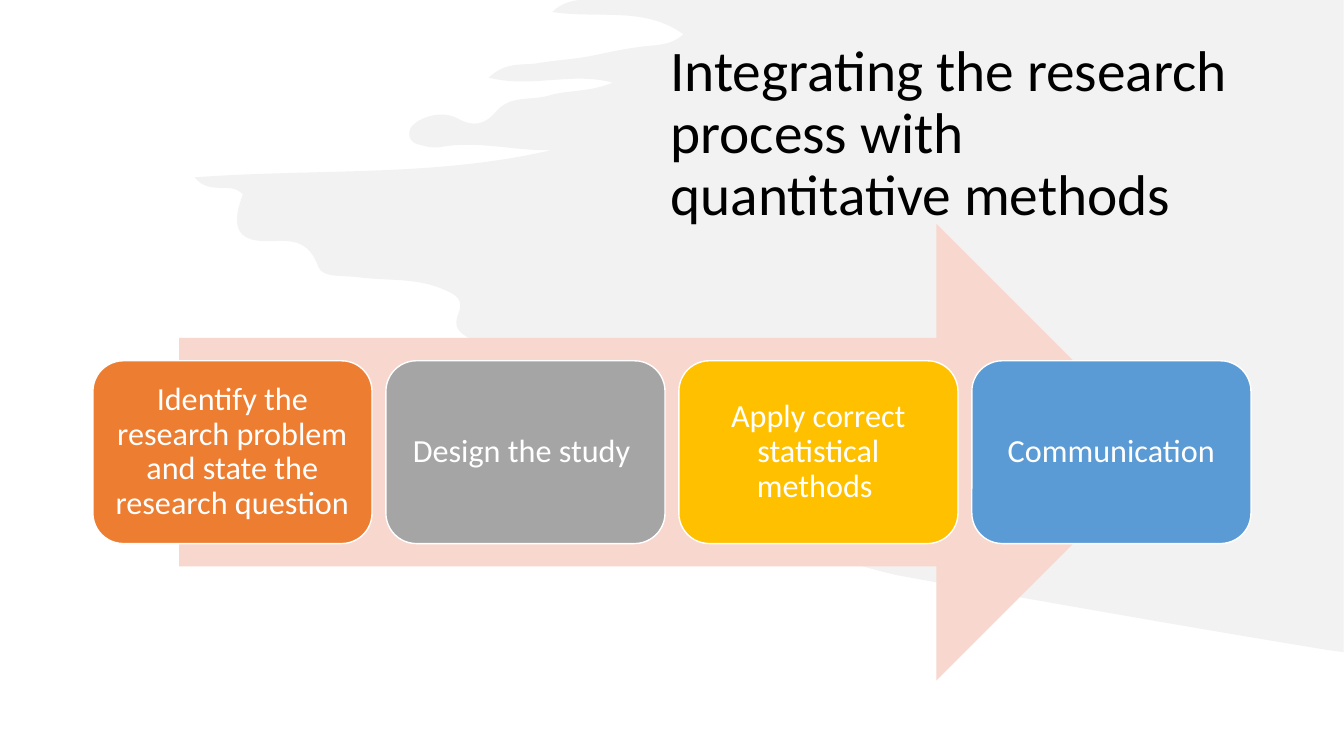
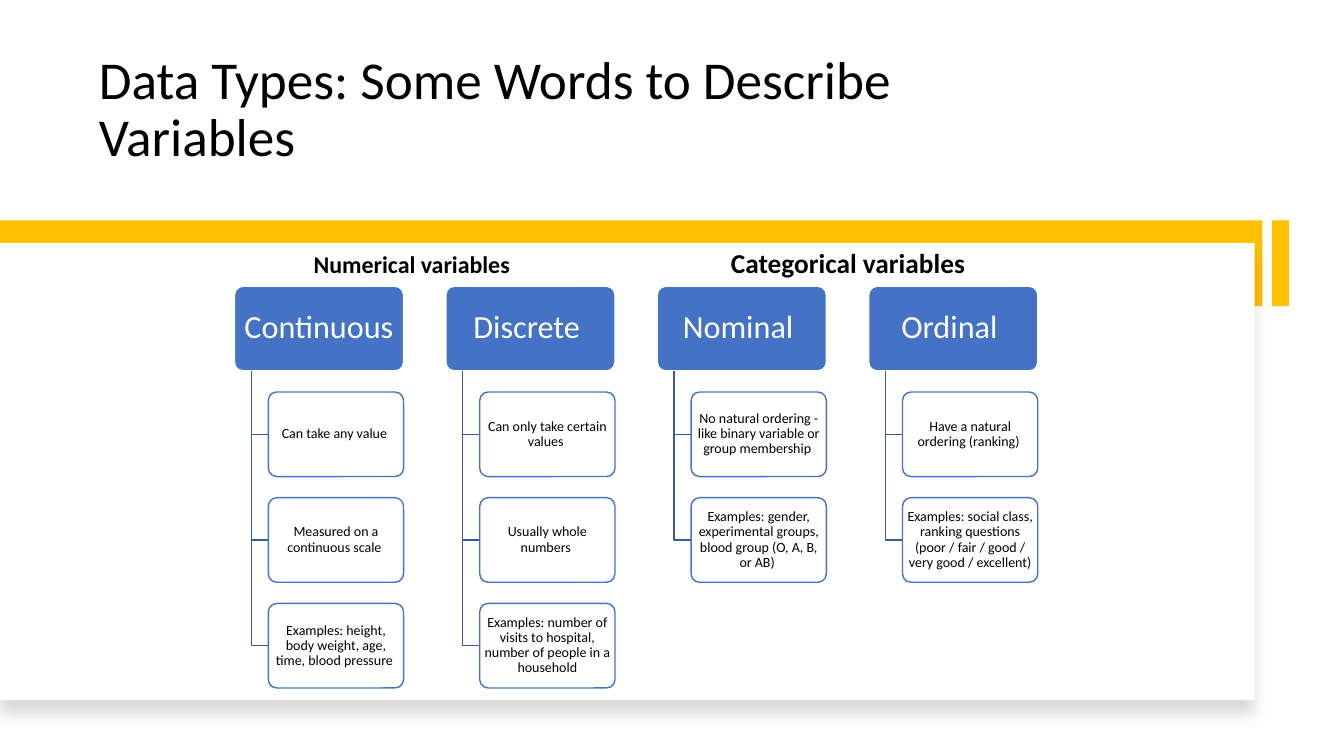
from dataclasses import dataclass

from lxml import etree
from pptx import Presentation
from pptx.dml.color import RGBColor
from pptx.enum import shapes, text
from pptx.oxml.ns import qn
from pptx.util import Pt


@dataclass(frozen=True)
class Theme:
    font: str = "Calibri"
    black: str = "000000"
    white: str = "FFFFFF"
    brush: str = "E7E6E6"
    arrow: str = "F8D7CE"
    orange: str = "ED7D31"
    grey: str = "A5A5A5"
    gold: str = "FFC000"
    sky: str = "5B9BD5"
    blue: str = "4472C4"
    branch: str = "365B9D"
    opening_title: float = 41
    title: float = 38
    label: float = 23
    numerical: float = 17.1
    categorical: float = 19.5
    detail: float = 10
    outline: float = 1


THEME = Theme()
PAGE_WIDTH, PAGE_HEIGHT = 960, 540

STEPS = [
    ("Identify the research problem and state the research question", THEME.orange),
    ("Design the study ", THEME.grey),
    ("Apply correct statistical methods ", THEME.gold),
    ("Communication", THEME.sky),
]

VARIABLES = [
    ("Continuous ", ["Can take any value ",
                     "Measured on a continuous scale ",
                     "Examples: height, body weight, age, time, blood pressure "]),
    ("Discrete ", ["Can only take certain values ",
                   "Usually whole numbers ",
                   "Examples: number of visits to hospital, number of people in a household"]),
    ("Nominal ", ["No natural ordering - like binary variable or group membership ",
                  "Examples: gender, experimental groups, blood group (O, A, B, or AB) "]),
    ("Ordinal ", ["Have a natural ordering (ranking) ",
                  "Examples: social class, ranking questions "
                  "(poor / fair / good / very good / excellent)"]),
]

# Brush outline in units of 0.72 pt: each curve holds two control points and an end point.
BRUSH_UNIT = 0.72
BRUSH_START = [(1333, 0), (575, 0)]
BRUSH_CURVES = [
    (567, 1, 557, 3, 548, 12), (595, 19, 639, 6, 678, 34),
    (664, 47, 648, 44, 632, 47), (616, 49, 600, 53, 584, 56),
    (567, 59, 549, 60, 532, 63), (518, 65, 502, 61, 485, 77),
    (527, 88, 566, 71, 608, 82), (584, 92, 563, 89, 544, 95),
    (527, 100, 506, 94, 492, 111), (481, 124, 469, 126, 455, 118),
    (442, 111, 428, 113, 415, 120), (411, 123, 406, 126, 406, 132),
    (406, 141, 412, 143, 418, 144), (424, 146, 431, 147, 437, 146),
    (474, 139, 510, 150, 547, 149), (431, 176, 314, 167, 193, 176),
    (209, 195, 229, 179, 241, 193), (230, 222, 234, 237, 258, 239),
    (280, 241, 304, 231, 316, 265), (320, 276, 341, 273, 355, 275),
    (384, 279, 414, 275, 442, 288), (453, 293, 460, 297, 455, 311),
    (449, 325, 456, 330, 466, 336), (473, 340, 483, 339, 489, 352),
    (428, 350, 369, 340, 309, 350), (375, 374, 447, 373, 512, 402),
    (510, 412, 495, 407, 494, 422), (528, 438, 569, 427, 605, 450),
    (584, 461, 565, 444, 545, 454), (552, 469, 840, 561, 892, 571),
    (978, 587, 1195, 625, 1318, 645),
]
BRUSH_END = (1333, 647)


def rgb(color):
    return RGBColor.from_string(color)


def apply(target, values):
    for name, value in values.items():
        setattr(target, name, value)


def place(shape, box):
    apply(shape, dict(zip(("left", "top", "width", "height"), map(Pt, box))))


def paint(shape, fill=None, line=None, opacity=None):
    """Set fill and line, either of which may be absent, and drop the shadow."""
    shape.shadow.inherit = False
    if fill:
        shape.fill.solid()
        shape.fill.fore_color.rgb = rgb(fill)
        if opacity:
            color = shape.element.spPr.find(qn("a:solidFill")).find(qn("a:srgbClr"))
            etree.SubElement(color, qn("a:alpha"), val=str(opacity * 1000))
    else:
        shape.fill.background()
    if line:
        shape.line.color.rgb = rgb(line)
        shape.line.width = Pt(THEME.outline)
    else:
        shape.line.fill.background()


def write(shape, words, size, color=THEME.black, bold=False, spacing=0.9,
          align=text.PP_ALIGN.LEFT, anchor=text.MSO_ANCHOR.TOP, insets=(7.2, 3.6)):
    frame = shape.text_frame
    across, down = map(Pt, insets)
    apply(frame, {
        "word_wrap": True, "auto_size": text.MSO_AUTO_SIZE.NONE,
        "vertical_anchor": anchor, "margin_left": across, "margin_right": across,
        "margin_top": down, "margin_bottom": down,
    })
    para = frame.paragraphs[0]
    apply(para, {"alignment": align, "line_spacing": spacing, "space_before": Pt(0)})
    span = para.add_run()
    span.text = words
    apply(span.font, {"name": THEME.font, "size": Pt(size), "bold": bold})
    span.font.color.rgb = rgb(color)
    return para


def add_block(page, kind, box, fill, line=None, opacity=None):
    block = page.shapes.add_shape(kind, *map(Pt, box))
    paint(block, fill, line, opacity)
    return block


def add_card(page, box, words, size, color, insets, fill, line, opacity=None, corner=None):
    card = add_block(page, shapes.MSO_SHAPE.ROUNDED_RECTANGLE, box, fill, line, opacity)
    if corner:
        card.adjustments[0] = corner
    write(card, words, size, color, insets=insets,
          align=text.PP_ALIGN.CENTER, anchor=text.MSO_ANCHOR.MIDDLE)


def add_outline(page, points, close):
    (x, y), *rest = [(Pt(x), Pt(y)) for x, y in points]
    builder = page.shapes.build_freeform(x, y)
    builder.add_line_segments(rest, close=close)
    return builder.convert_to_shape()


def fill_placeholder(holder, box, words, size, **style):
    """Place a placeholder in front of what is drawn so far and write its text."""
    holder.element.getparent().append(holder.element)
    place(holder, box)
    return write(holder, words, size, **style)


def add_brush(page):
    """Draw the outline through the end points, then bend its sides into curves."""
    corners = [*BRUSH_START, *(curve[4:] for curve in BRUSH_CURVES), BRUSH_END]
    brush = add_outline(page, [(x * BRUSH_UNIT, y * BRUSH_UNIT) for x, y in corners], True)
    sides = list(brush.element.iter(qn("a:lnTo")))
    for side, curve in zip(sides[len(BRUSH_START) - 1:], BRUSH_CURVES):
        bend = etree.Element(qn("a:cubicBezTo"))
        for x, y in zip(curve[::2], curve[1::2]):
            etree.SubElement(bend, qn("a:pt"), x=str(Pt(x * BRUSH_UNIT) - brush.left),
                             y=str(Pt(y * BRUSH_UNIT) - brush.top))
        side.getparent().replace(side, bend)
    paint(brush, THEME.brush, opacity=50)


def add_process(page, box):
    """Draw the arrow and, across its middle, one card for each step."""
    left, top, width, height = box
    arrow_width = 704
    add_block(page, shapes.MSO_SHAPE.RIGHT_ARROW,
              (left + (width - arrow_width) / 2, top, arrow_width, height), THEME.arrow)
    card_width, card_height = 199.4, height * 0.4
    pitch = (width - card_width) / (len(STEPS) - 1)
    for index, (words, fill) in enumerate(STEPS):
        add_card(page, (left + index * pitch, top + height * 0.3, card_width, card_height),
                 words, THEME.label, THEME.white, (7, 7), fill, THEME.white)


def add_panel(page, box):
    """Draw the gold band, its end mark and the shadowed white panel."""
    left, top, width, height = box
    band_height, lip = 61.3, 16
    rectangle = shapes.MSO_SHAPE.RECTANGLE
    add_block(page, rectangle, (left + width + 12.4, top - lip, 12, band_height), THEME.gold)
    add_block(page, rectangle, (left, top - lip, width + 5.6, band_height), THEME.gold)
    panel = add_block(page, rectangle, box, THEME.white)
    effects = panel.element.spPr.find(qn("a:effectLst"))
    shadow = etree.SubElement(effects, qn("a:outerShdw"), blurRad=str(Pt(11)),
                              dist=str(Pt(10)), dir="5400000", algn="t", rotWithShape="0")
    color = etree.SubElement(shadow, qn("a:srgbClr"), val=THEME.black)
    etree.SubElement(color, qn("a:alpha"), val="15000")


def add_branch(page, box, heading, details):
    """Draw a heading in the box and hang its details below it."""
    left, top, width, height = box
    add_card(page, box, heading, THEME.label, THEME.white, (3.45, 2.3),
             THEME.blue, THEME.white, corner=0.1)
    trunk, leaf_left = left + width * 0.1, left + width * 0.2
    for index, words in enumerate(details, 1):
        leaf_top = top + index * height * 1.25
        middle = leaf_top + height / 2
        elbow = add_outline(page, [(trunk, top + height), (trunk, middle),
                                   (leaf_left, middle)], False)
        paint(elbow, line=THEME.branch)
        add_card(page, (leaf_left, leaf_top, width * 0.8, height), words, THEME.detail,
                 THEME.black, (1.5, 1), THEME.white, THEME.blue, opacity=90, corner=0.1)


def add_variables(page, left, top):
    width = 120.8
    for index, (heading, details) in enumerate(VARIABLES):
        add_branch(page, (left + index * width * 1.25, top, width, width / 2),
                   heading, details)


def build_process_slide(deck):
    page = deck.slides.add_slide(deck.slide_layouts[5])
    add_brush(page)
    fill_placeholder(page.shapes.title, (471.6, 21.7, 422, 149),
                     "Integrating the research process with quantitative methods",
                     THEME.opening_title, anchor=text.MSO_ANCHOR.MIDDLE)
    add_process(page, (66.4, 159.8, 827.2, 326.4))


def build_variables_slide(deck):
    page = deck.slides.add_slide(deck.slide_layouts[1])
    fill_placeholder(page.shapes.title, (63.4, 30.4, 727.2, 93.6),
                     "Data Types: Some Words to Describe Variables",
                     THEME.title, anchor=text.MSO_ANCHOR.BOTTOM)
    add_panel(page, (0, 173.4, 896.2, 326.8))
    para = fill_placeholder(page.placeholders[1], (216.9, 177.1, 510.5, 211),
                            "Numerical variables", THEME.numerical, bold=True)
    properties = para._p.get_or_add_pPr()
    properties.set("marL", "0")
    properties.set("indent", "0")
    etree.SubElement(properties, qn("a:buNone"))
    add_variables(page, 167.5, 204.5)
    caption = page.shapes.add_textbox(*map(Pt, (514.9, 172.1, 301, 31)))
    write(caption, "Categorical variables", THEME.categorical, bold=True, spacing=1.0)


def main():
    deck = Presentation()
    apply(deck, {"slide_width": Pt(PAGE_WIDTH), "slide_height": Pt(PAGE_HEIGHT)})
    build_process_slide(deck)
    build_variables_slide(deck)
    deck.save("out.pptx")


if __name__ == "__main__":
    main()
